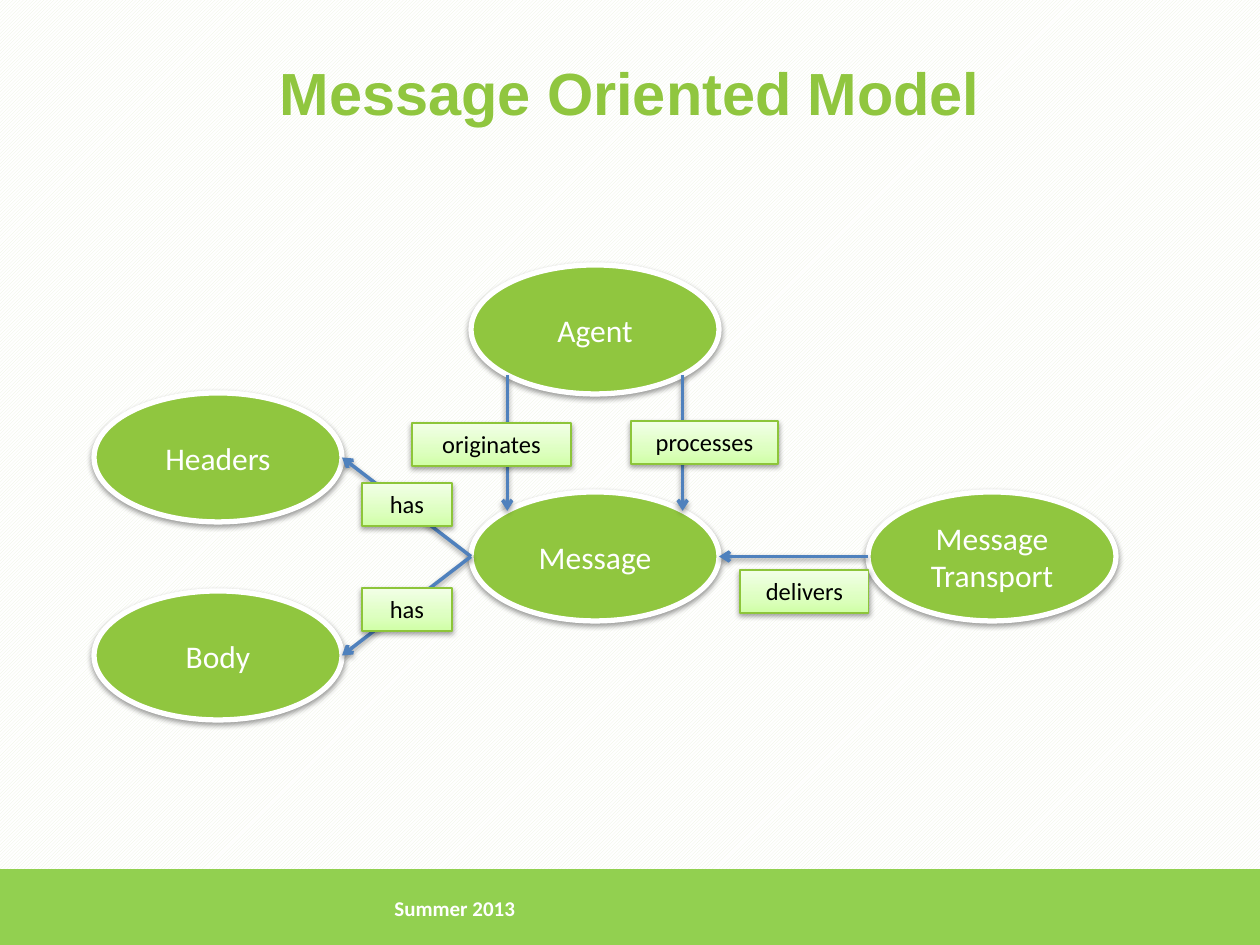
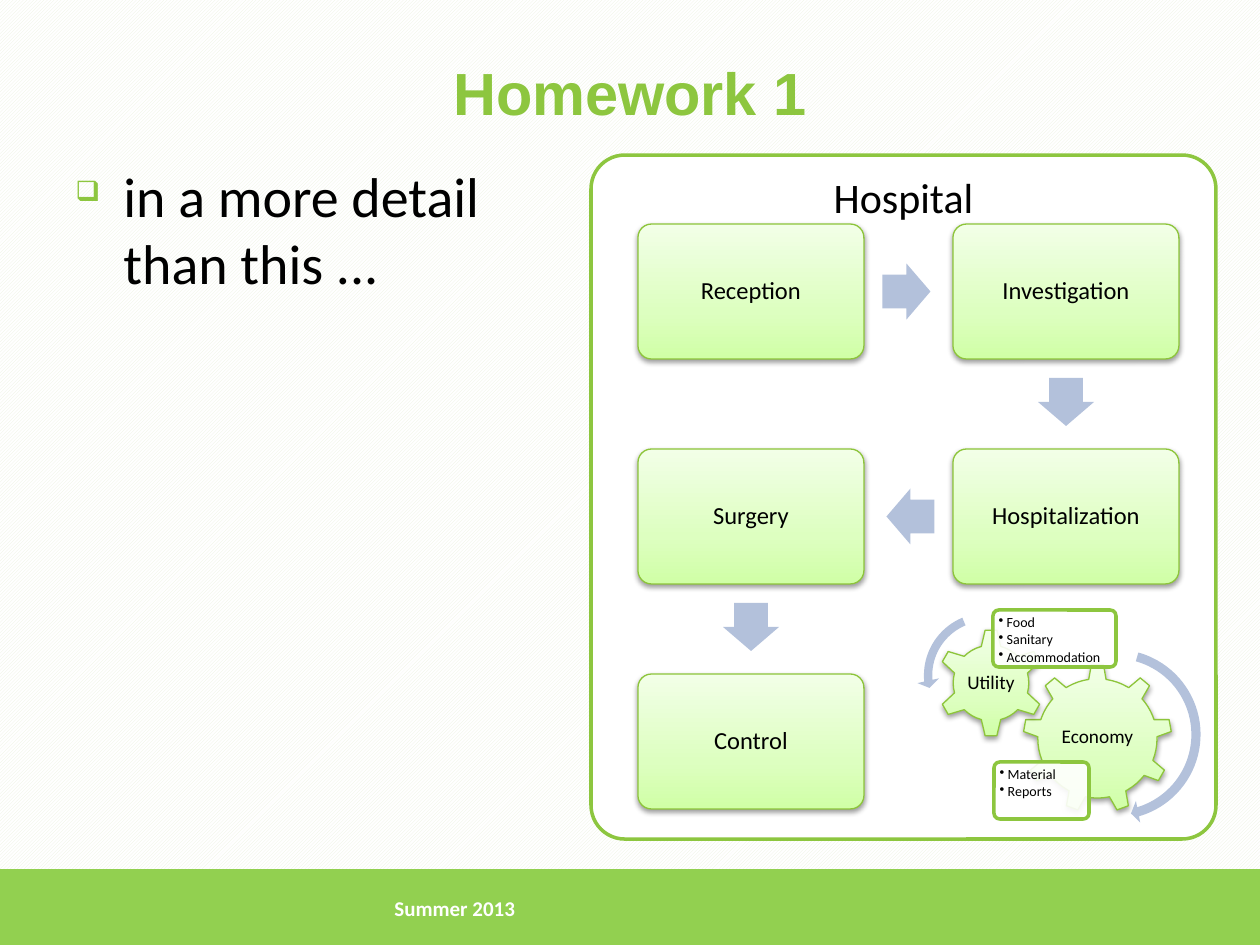
"""Build two slides: the message oriented model and a hospital process homework."""
import copy
import math

import pptx
import pptx.util
from lxml import etree
from pptx.dml.color import RGBColor
from pptx.enum.dml import MSO_PATTERN
from pptx.enum.shapes import MSO_CONNECTOR, MSO_SHAPE
from pptx.enum.text import MSO_ANCHOR, PP_ALIGN
from pptx.oxml.ns import qn

WHITE = RGBColor(0xFF, 0xFF, 0xFF)
BLACK = RGBColor(0, 0, 0)
LEAF = RGBColor(0x90, 0xC6, 0x3F)
GREEN = RGBColor(0x8D, 0xC6, 0x3F)
EDGE = RGBColor(0x8D, 0xC5, 0x3A)
BAND = RGBColor(0x92, 0xD0, 0x50)
HATCH = RGBColor(0xEB, 0xF1, 0xDE)
LINK = RGBColor(0x4F, 0x81, 0xBD)
FLOW = RGBColor(0xB3, 0xC1, 0xDB)
GRADIENT = [(0, RGBColor(0xD0, 0xFF, 0xA6)), (0.35, RGBColor(0xDD, 0xFF, 0xC0)),
            (1, RGBColor(0xF2, 0xFF, 0xE7))]

EMU_PER_PX = 914400 / 126
SLIDE_SIZE = (1260, 945)
TITLE_BOX = (63, 38, 1134, 107)
FOOTER_TOP, FOOTER_HEIGHT = 869, 79
FOOTER = "Summer 2013"

ELLIPSE_SIZE = (248, 129)
ELLIPSES = {
    "Body": (94, 591),
    "Message": (471, 492),
    "Message\nTransport": (868, 492),
    "Headers": (94, 393),
    "Agent": (471, 265),
}
SITE_ANGLES = {"left": 180, "right": 0, "top left": 225, "top right": 315,
               "bottom left": 135, "bottom right": 45}
SITE_INDEXES = {"top left": 1, "left": 2, "bottom left": 3,
                "bottom right": 5, "right": 6, "top right": 7}
RELATIONS = [
    ("Message", "left", "Headers", "right"),
    ("Message", "left", "Body", "right"),
    ("Message\nTransport", "left", "Message", "right"),
    ("Agent", "bottom left", "Message", "top left"),
    ("Agent", "bottom right", "Message", "top right"),
]
LABEL_HEIGHT = 43
LABELS = [("originates", 412, 423, 159), ("processes", 631, 421, 147),
          ("delivers", 740, 570, 129), ("has", 362, 483, 90), ("has", 362, 588, 90)]

TASK = "in a more detail than this ..."
TASK_BOX = (63, 155, 498, 674)
PANEL_BOX = (591, 155, 625, 684)
STEPS = [("Reception", 0, 0), ("Investigation", 1, 0), ("Hospitalization", 1, 1),
         ("Surgery", 0, 1), ("Control", 0, 2)]
STEP_ORIGIN = (638, 224)
STEP_PITCH = (315, 225)
STEP_SIZE = (226, 135)
ARROW_SIZE = (48, 56)
ARROW_SETBACK = 2
GEARS = [
    ("Economy", MSO_SHAPE.GEAR_9, (1023, 664, 149, 149),
     ["Material", "Reports"], (994, 762, 95, 57)),
    ("Utility", MSO_SHAPE.GEAR_6, (937, 629, 108, 108),
     ["Food", "Sanitary", "Accommodation"], (993, 610, 123, 57)),
]
TURNS = [
    (MSO_SHAPE.CIRCULAR_ARROW, (1024, 643, 183, 183), 25.5,
     (0.05, 3.13, 28.91, 156.05, 0.06)),
    (MSO_SHAPE.LEFT_CIRCULAR_ARROW, (917, 606, 139, 139), 0,
     (0.06, 4.3, 104.89, 148.38, 0.08)),
]


def px(length):
    return pptx.util.Emu(round(length * EMU_PER_PX))


def add_shadow(effects):
    shadow = etree.SubElement(effects, qn("a:outerShdw"), blurRad="40000", dist="20000",
                              dir="5400000", rotWithShape="0")
    color = etree.SubElement(shadow, qn("a:srgbClr"), val="000000")
    etree.SubElement(color, qn("a:alpha"), val="38000")


def fill_gradient(shape):
    fill = shape.fill
    fill.gradient()
    fill.gradient_angle = 90
    stops = shape._element.spPr.find(".//" + qn("a:gsLst"))
    stops.append(copy.deepcopy(stops[0]))
    for stop, (position, color) in zip(fill.gradient_stops, GRADIENT):
        stop.position = position
        stop.color.rgb = color


def add_shape(slide, kind, box, fill, line=None, width=0.75, shadow=False, adjustments=()):
    shape = slide.shapes.add_shape(kind, *map(px, box))
    shape.shadow.inherit = False
    if fill is GRADIENT:
        fill_gradient(shape)
    else:
        shape.fill.solid()
        shape.fill.fore_color.rgb = fill
    if line is None:
        shape.line.fill.background()
    else:
        shape.line.color.rgb = line
        shape.line.width = pptx.util.Pt(width)
    if shadow:
        add_shadow(shape._element.spPr.find(qn("a:effectLst")))
    for index, value in enumerate(adjustments):
        shape.adjustments[index] = value
    return shape


def add_green_shape(slide, kind, box, adjustments=()):
    return add_shape(slide, kind, box, GRADIENT, EDGE, shadow=True, adjustments=adjustments)


def write(shape, text, size, color=BLACK, font="Calibri", bold=False,
          align=PP_ALIGN.CENTER, anchor=MSO_ANCHOR.MIDDLE, spacing=None, inset=None, wrap=True):
    frame = shape.text_frame
    frame.text = text
    frame.word_wrap = wrap
    frame.vertical_anchor = anchor
    if inset is not None:
        frame.margin_left = frame.margin_right = px(inset)
        frame.margin_top = frame.margin_bottom = px(inset)
    for paragraph in frame.paragraphs:
        paragraph.alignment = align
        paragraph.line_spacing = spacing
        for run in paragraph.runs:
            run.font.name = font
            run.font.size = pptx.util.Pt(size)
            run.font.bold = bold
            run.font.color.rgb = color


def add_bullet(paragraph, character, indent, color=None, percent=None):
    properties = paragraph._p.get_or_add_pPr()
    properties.set("marL", str(px(indent)))
    properties.set("indent", str(-px(indent)))
    if color is not None:
        bullet_color = etree.SubElement(properties, qn("a:buClr"))
        etree.SubElement(bullet_color, qn("a:srgbClr"), val=str(color))
    if percent is not None:
        etree.SubElement(properties, qn("a:buSzPct"), val=str(percent * 1000))
    etree.SubElement(properties, qn("a:buChar"), char=character)


def add_text(slide, box, text, size, **style):
    textbox = slide.shapes.add_textbox(*map(px, box))
    write(textbox, text, size, **style)
    return textbox


def add_slide(presentation, title, title_color):
    slide = presentation.slides.add_slide(presentation.slide_layouts[6])
    background = slide.background.fill
    background.patterned()
    background.pattern = MSO_PATTERN.LIGHT_UPWARD_DIAGONAL
    background.fore_color.rgb = HATCH
    background.back_color.rgb = WHITE
    add_shape(slide, MSO_SHAPE.RECTANGLE, (0, FOOTER_TOP, SLIDE_SIZE[0], FOOTER_HEIGHT), BAND)
    add_text(slide, TITLE_BOX, title, 34, color=title_color, font="Arial", bold=True)
    add_text(slide, (382, FOOTER_TOP, 758, FOOTER_HEIGHT), FOOTER, 12, color=WHITE,
             bold=True, align=PP_ALIGN.LEFT)
    return slide


def site_point(name, side):
    left, top = ELLIPSES[name]
    width, height = ELLIPSE_SIZE
    angle = math.radians(SITE_ANGLES[side])
    return (px(left + width / 2 * (1 + math.cos(angle))),
            px(top + height / 2 * (1 + math.sin(angle))))


def add_relation(slide, ellipses, source, source_side, target, target_side):
    connector = slide.shapes.add_connector(
        MSO_CONNECTOR.STRAIGHT, *site_point(source, source_side),
        *site_point(target, target_side))
    connector.line.color.rgb = LINK
    connector.line.width = pptx.util.Pt(2)
    etree.SubElement(connector.line._get_or_add_ln(), qn("a:tailEnd"), type="arrow")
    add_shadow(etree.SubElement(connector._element.spPr, qn("a:effectLst")))
    joints = connector._element.find(".//" + qn("p:cNvCxnSpPr"))
    for tag, name, side in (("a:stCxn", source, source_side), ("a:endCxn", target, target_side)):
        etree.SubElement(joints, qn(tag), id=str(ellipses[name].shape_id),
                         idx=str(SITE_INDEXES[side]))


def build_message_model(presentation):
    slide = add_slide(presentation, "Message Oriented Model", LEAF)
    ellipses = {}
    for name, position in ELLIPSES.items():
        ellipses[name] = add_shape(slide, MSO_SHAPE.OVAL, position + ELLIPSE_SIZE, LEAF,
                                   WHITE, 3, shadow=True)
        write(ellipses[name], name, 18, WHITE)
    for relation in RELATIONS:
        add_relation(slide, ellipses, *relation)
    for text, left, top, width in LABELS:
        label = add_green_shape(slide, MSO_SHAPE.RECTANGLE, (left, top, width, LABEL_HEIGHT))
        write(label, text, 14, anchor=MSO_ANCHOR.TOP)


def add_step_arrow(slide, start, end):
    (column, row), (next_column, next_row) = start, end
    direction = (next_column - column, next_row - row)
    corner = [origin + size / 2 + pitch * (here + step / 2) - ARROW_SETBACK * step - arrow / 2
              for origin, size, pitch, here, step, arrow in zip(
                  STEP_ORIGIN, STEP_SIZE, STEP_PITCH, start, direction, ARROW_SIZE)]
    arrow = add_shape(slide, MSO_SHAPE.RIGHT_ARROW, (*corner, *ARROW_SIZE), FLOW,
                      adjustments=(0.6, 0.5))
    arrow.rotation = math.degrees(math.atan2(direction[1], direction[0]))


def add_note(slide, items, box):
    note = add_shape(slide, MSO_SHAPE.ROUNDED_RECTANGLE, box, WHITE, GREEN, 2,
                     adjustments=(0.1,))
    color = note._element.spPr.find(qn("a:solidFill"))[0]
    etree.SubElement(color, qn("a:alpha"), val="90000")
    write(note, "\n".join(items), 8, align=PP_ALIGN.LEFT, anchor=MSO_ANCHOR.TOP,
          spacing=0.9, inset=4)
    for paragraph in note.text_frame.paragraphs:
        add_bullet(paragraph, "•", 8)
        paragraph.space_after = pptx.util.Pt(1.2)


def build_homework(presentation):
    slide = add_slide(presentation, "Homework 1", GREEN)
    task = add_text(slide, TASK_BOX, TASK, 32, align=PP_ALIGN.LEFT, anchor=MSO_ANCHOR.TOP)
    add_bullet(task.text_frame.paragraphs[0], "❑", 48, GREEN, 50)
    panel = add_shape(slide, MSO_SHAPE.ROUNDED_RECTANGLE, PANEL_BOX, WHITE, GREEN, 2,
                      adjustments=(0.054,))
    write(panel, "Hospital", 24, anchor=MSO_ANCHOR.TOP)
    for name, column, row in STEPS:
        left, top = (origin + pitch * index for origin, pitch, index in zip(
            STEP_ORIGIN, STEP_PITCH, (column, row)))
        step = add_green_shape(slide, MSO_SHAPE.ROUNDED_RECTANGLE, (left, top, *STEP_SIZE),
                               (0.1,))
        write(step, name, 14, spacing=0.9, inset=8)
    for start, end in zip(STEPS, STEPS[1:]):
        add_step_arrow(slide, start[1:], end[1:])
    for name, kind, box, items, note_box in GEARS:
        gear = add_green_shape(slide, kind, box)
        write(gear, name, 11, spacing=0.9, inset=2, wrap=False)
        add_note(slide, items, note_box)
    for kind, box, rotation, adjustments in TURNS:
        turn = add_shape(slide, kind, box, FLOW, adjustments=adjustments)
        turn.rotation = rotation


def main():
    presentation = pptx.Presentation()
    presentation.slide_width, presentation.slide_height = map(px, SLIDE_SIZE)
    build_message_model(presentation)
    build_homework(presentation)
    presentation.save("out.pptx")


if __name__ == "__main__":
    main()
